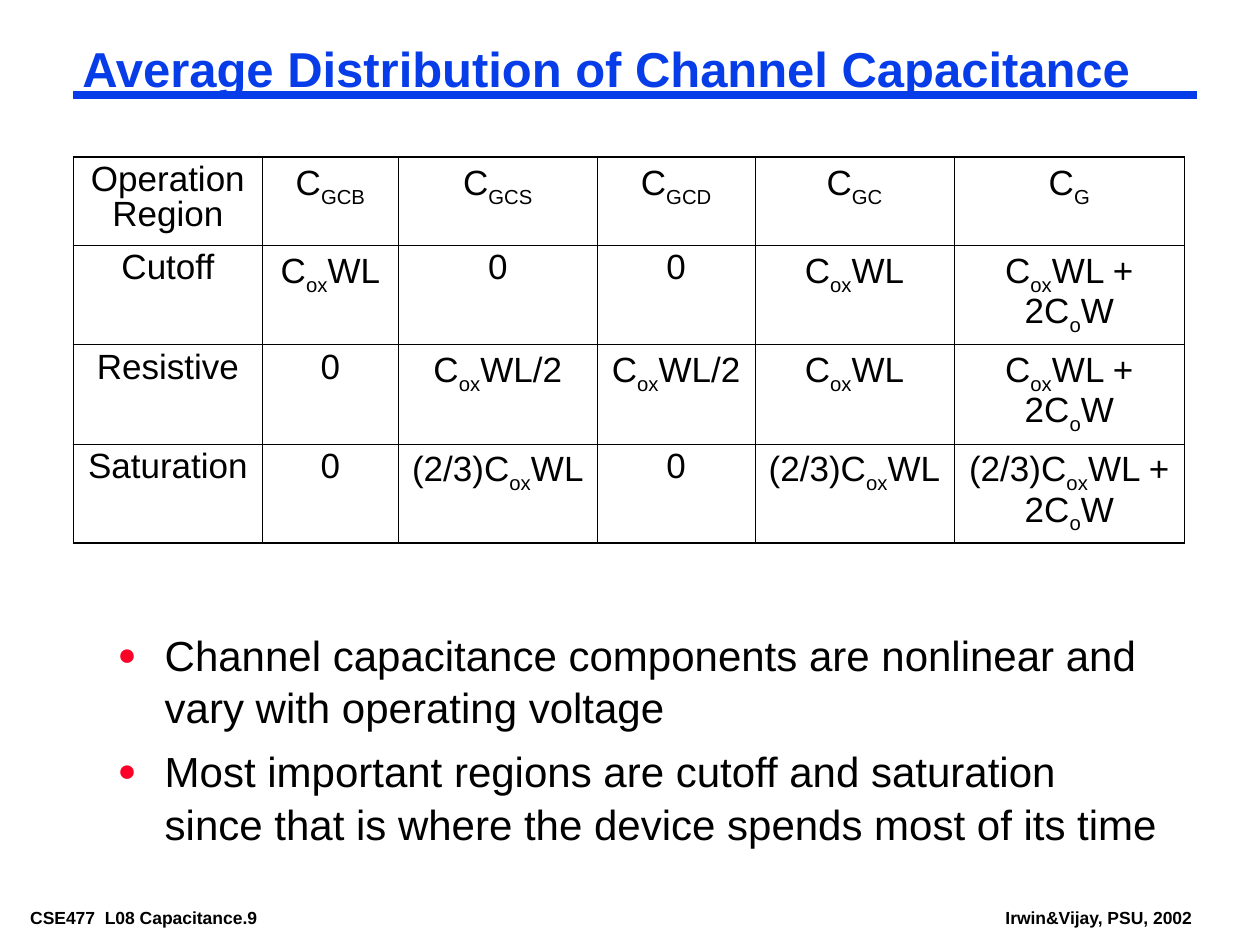
import pptx
import pptx.dml.color
import pptx.enum.shapes
import pptx.enum.text
import pptx.oxml.ns
import pptx.util
from lxml import etree

Cm, Pt = pptx.util.Cm, pptx.util.Pt
qn = pptx.oxml.ns.qn
ALIGN = pptx.enum.text.PP_ALIGN
COLORS = {"blue": "063DE8", "red": "FC0128", "black": "000000"}
FONT = "Arial"

TITLE = "Average Distribution of Channel Capacitance"
BULLETS = [
    "Channel capacitance components are nonlinear and vary with operating voltage",
    "Most important regions are cutoff and saturation since that is where "
    "the device spends most of its time",
]
FOOTERS = [
    ("CSE477  L08 Capacitance.9", 0.43, 6.43),
    ("Irwin&Vijay, PSU, 2002", 20.09, 4.2),
]
#_SUBSCRIPT_ = "~"
ROWS = [
    ["Operation Region", "C~GCB~", "C~GCS~", "C~GCD~", "C~GC~", "C~G~"],
    ["Cutoff", "C~ox~WL", "0", "0", "C~ox~WL", "C~ox~WL + 2C~o~W"],
    ["Resistive", "0", "C~ox~WL/2", "C~ox~WL/2", "C~ox~WL", "C~ox~WL + 2C~o~W"],
    ["Saturation", "0", "(2/3)C~ox~WL", "0", "(2/3)C~ox~WL", "(2/3)C~ox~WL + 2C~o~W"],
]
COL_WIDTHS = [3.81, 2.74, 4.01, 3.18, 4.01, 4.65]
ROW_HEIGHTS = [1.78, 2, 2, 2]
THICK, THIN = 1.08, 0.45


def rgb(name):
    return pptx.dml.color.RGBColor.from_string(COLORS[name])


def add_bullet(p):
    pPr = p._p.get_or_add_pPr()
    pPr.set("marL", str(Cm(0.95)))
    pPr.set("indent", str(-Cm(0.95)))
    color = etree.SubElement(pPr, qn("a:buClr"))
    etree.SubElement(color, qn("a:srgbClr"), val=COLORS["red"])
    etree.SubElement(pPr, qn("a:buSzPct"), val="75000")
    etree.SubElement(pPr, qn("a:buFont"), typeface=FONT)
    etree.SubElement(pPr, qn("a:buChar"), char="●")


def write(p, text, size=20, bold=False, color="black", align=ALIGN.LEFT,
          spacing=1.0, before=0, bullet=False):
    if bullet:
        add_bullet(p)
    p.alignment = align
    p.line_spacing = spacing
    p.space_before = Pt(before)
    for i, part in enumerate(text.split("~")):
        if not part:
            continue
        r = p.add_run()
        r.text = part
        r.font.name = FONT
        r.font.size = Pt(size)
        r.font.bold = bold
        r.font.color.rgb = rgb(color)
        if i % 2:
            r._r.get_or_add_rPr().set("baseline", "-25000")


def set_frame(tf, x_inset=0.18, y_inset=0.08):
    tf.word_wrap = True
    tf.auto_size = pptx.enum.text.MSO_AUTO_SIZE.NONE
    tf.vertical_anchor = pptx.enum.text.MSO_ANCHOR.TOP
    tf.margin_left = tf.margin_right = Cm(x_inset)
    tf.margin_top = tf.margin_bottom = Cm(y_inset)


def place(sp, left, top, width, height):
    sp.left, sp.top, sp.width, sp.height = map(Cm, (left, top, width, height))


def set_borders(cell, row, col):
    strong_rows, strong_cols = (0, 1, len(ROWS)), (0, 1, len(COL_WIDTHS))
    edges = [("L", col in strong_cols), ("R", col + 1 in strong_cols),
             ("T", row in strong_rows), ("B", row + 1 in strong_rows)]
    tcPr = cell._tc.get_or_add_tcPr()
    for side, strong in edges:
        ln = etree.SubElement(tcPr, qn(f"a:ln{side}"), w=str(Pt(THICK if strong else THIN)))
        fill = etree.SubElement(ln, qn("a:solidFill"))
        etree.SubElement(fill, qn("a:srgbClr"), val=COLORS["black"])


def add_capacitance_table(s):
    table = s.shapes.add_table(len(ROWS), len(COL_WIDTHS), Cm(1.48), Cm(3.17),
                               Cm(sum(COL_WIDTHS)), Cm(sum(ROW_HEIGHTS))).table
    table.first_row = table.horz_banding = False
    for column, width in zip(table.columns, COL_WIDTHS):
        column.width = Cm(width)
    for i, (row, height) in enumerate(zip(ROWS, ROW_HEIGHTS)):
        table.rows[i].height = Cm(height)
        for j, text in enumerate(row):
            cell = table.cell(i, j)
            set_borders(cell, i, j)
            cell.fill.background()
            write(cell.text_frame.paragraphs[0], text, align=ALIGN.CENTER, spacing=0.9)


def main():
    prs = pptx.Presentation()
    prs.slide_width, prs.slide_height = Cm(25.4), Cm(19.05)
    s = prs.slides.add_slide(prs.slide_layouts[1])

    title, body = s.placeholders
    place(title, 1.48, 0.85, 22.65, 1.16)
    set_frame(title.text_frame)
    write(title.text_frame.paragraphs[0], TITLE, size=28, bold=True, color="blue", spacing=0.87)

    place(body, 2.12, 12.5, 21.59, 4.45)
    tf = body.text_frame
    set_frame(tf, 0.25, 0.13)
    for i, text in enumerate(BULLETS):
        p = tf.add_paragraph() if i else tf.paragraphs[0]
        write(p, text, size=24, spacing=1.05, before=6 if i else 0, bullet=True)

    rule = s.shapes.add_connector(pptx.enum.shapes.MSO_CONNECTOR.STRAIGHT,
                                  Cm(1.48), Cm(1.91), Cm(24.13), Cm(1.91))
    rule.line.color.rgb = rgb("blue")
    rule.line.width = Pt(4.5)
    etree.SubElement(rule._element.spPr, qn("a:effectLst"))

    add_capacitance_table(s)

    for text, left, width in FOOTERS:
        sp = s.shapes.add_textbox(Cm(left), Cm(18.2), Cm(width), Cm(0.56))
        set_frame(sp.text_frame)
        write(sp.text_frame.paragraphs[0], text, size=10, bold=True)

    prs.save("out.pptx")


if __name__ == "__main__":
    main()
